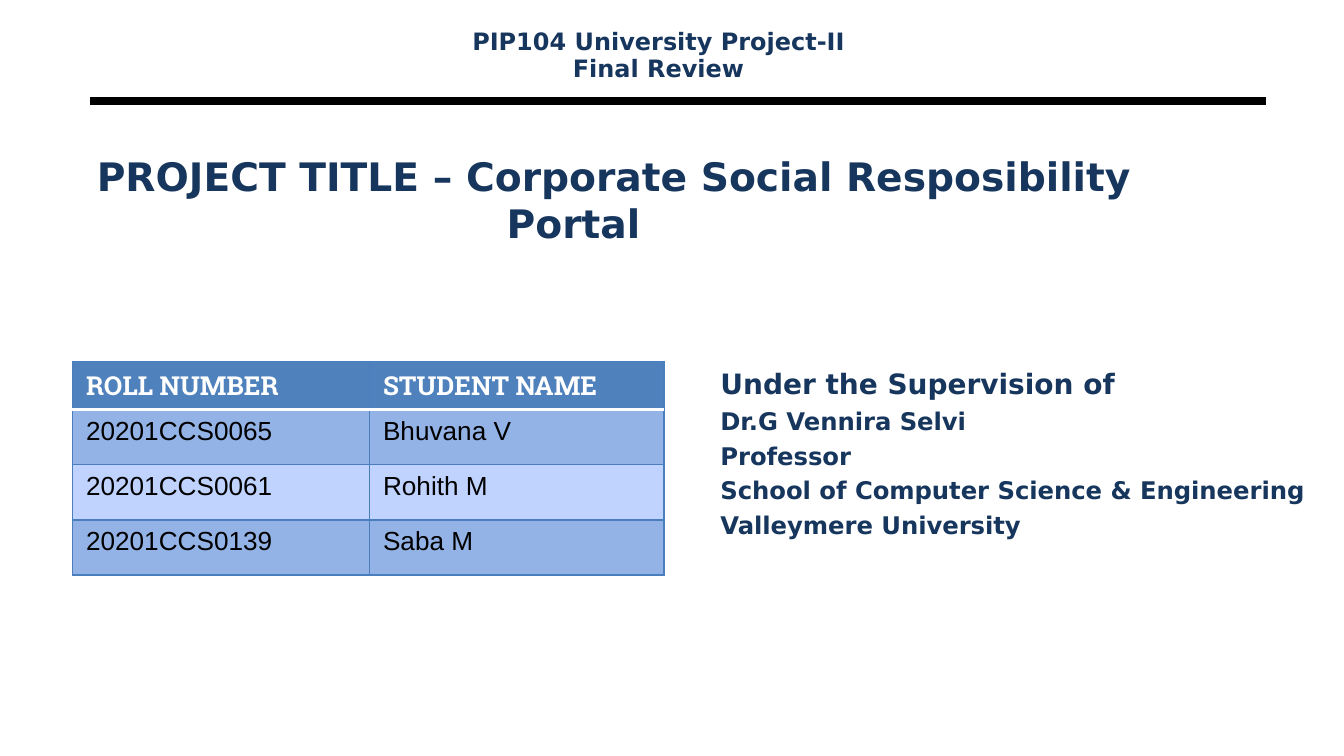
import pptx
import pptx.dml.color
import pptx.enum.shapes
import pptx.enum.text
import pptx.oxml.ns
import pptx.util
from lxml import etree

Inches = pptx.util.Inches
Pt = pptx.util.Pt
qn = pptx.oxml.ns.qn
ALIGN = pptx.enum.text.PP_ALIGN
ANCHOR = pptx.enum.text.MSO_ANCHOR


def color(hex_string):
    return pptx.dml.color.RGBColor.from_string(hex_string)


class ReviewSlide:
    NAVY = "17365D"
    FONT = "DejaVu Sans"
    HEADER, BAND, PLAIN = "4F81BD", "93B2E5", "C0D3FF"
    BORDER = "4B7EBC"

    def __init__(self, slide):
        self.slide = slide

    def font(self, paragraph, size, hex_string=NAVY, name=FONT, bold=True):
        font = paragraph.font
        font.size, font.name, font.bold = Pt(size), name, bold
        font.color.rgb = color(hex_string)

    def fill_frame(self, frame, lines, align=ALIGN.LEFT, spacing=None, gap=0):
        """Write (text, size) lines, one paragraph each."""
        frame.word_wrap = True
        frame.auto_size = pptx.enum.text.MSO_AUTO_SIZE.NONE
        frame.margin_left = frame.margin_right = Inches(0.07)
        frame.margin_top = frame.margin_bottom = Inches(0.04)
        for i, (text, size) in enumerate(lines):
            paragraph = frame.add_paragraph() if i else frame.paragraphs[0]
            paragraph.text = text
            paragraph.alignment = align
            paragraph.space_before = Pt(gap if i else 0)
            if spacing:
                paragraph.line_spacing = spacing
            self.font(paragraph, size)

    def title(self, box, text, size, hanging):
        title = self.slide.shapes.title
        title.left, title.top, title.width, title.height = map(Inches, box)
        self.fill_frame(title.text_frame, [(text, size)])
        title.text_frame.vertical_anchor = ANCHOR.MIDDLE
        # The hanging indent places the wrapped word under the middle
        properties = title.text_frame.paragraphs[0]._p.get_or_add_pPr()
        properties.set("marL", str(Inches(hanging)))
        properties.set("indent", str(-Inches(hanging)))

    def text(self, box, lines, **style):
        shape = self.slide.shapes.add_textbox(*map(Inches, box))
        self.fill_frame(shape.text_frame, lines, **style)

    def rule(self, left, right, y, width):
        rule = self.slide.shapes.add_connector(
            pptx.enum.shapes.MSO_CONNECTOR.STRAIGHT,
            Inches(left), Inches(y), Inches(right), Inches(y))
        rule.line.color.rgb = color("000000")
        rule.line.width = Pt(width)
        etree.SubElement(rule._element.spPr, qn("a:effectLst"))

    def border(self, cell, side, hex_string, width):
        line = etree.SubElement(cell._tc.get_or_add_tcPr(), qn("a:ln" + side),
                                w=str(Pt(width)))
        solid = etree.SubElement(line, qn("a:solidFill"))
        etree.SubElement(solid, qn("a:srgbClr"), val=hex_string)

    def table(self, box, widths, heights, rows):
        table = self.slide.shapes.add_table(
            len(rows), len(widths), *map(Inches, box)).table
        for column, width in zip(table.columns, widths):
            column.width = Inches(width)
        for r, (row, height) in enumerate(zip(rows, heights)):
            table.rows[r].height = Inches(height)
            for c, text in enumerate(row):
                cell = table.cell(r, c)
                cell.text = text
                paragraph = cell.text_frame.paragraphs[0]
                if r == 0:
                    self.font(paragraph, 14, "FFFFFF", "Roboto Slab")
                else:
                    self.font(paragraph, 14, "000000", "Arial", False)
                # A white line parts the header from the body
                for side in "LRTB":
                    if (r, side) in ((0, "B"), (1, "T")):
                        self.border(cell, side, "FFFFFF", 2)
                    else:
                        self.border(cell, side, self.BORDER, 0.75)
                # Borders come before the fill in the cell properties
                cell.fill.solid()
                band = self.BAND if r % 2 else self.PLAIN
                cell.fill.fore_color.rgb = color(band if r else self.HEADER)


def main():
    presentation = pptx.Presentation()
    # Widescreen, 16 to 9
    presentation.slide_width = Inches(10)
    presentation.slide_height = Inches(10) * 9 // 16
    review = ReviewSlide(
        presentation.slides.add_slide(presentation.slide_layouts[5]))

    # Course heading and rule
    review.rule(0.67, 9.42, 0.75, 4.5)
    review.text((3.27, 0.2, 3.26, 0.45),
                [("PIP104 University Project-II", 12.8), ("Final Review", 12.8)],
                align=ALIGN.CENTER, spacing=0.8, gap=2)

    # Project title
    review.title((0.65, 0.88, 8.5, 1.21),
                 "PROJECT TITLE – Corporate Social Resposibility Portal",
                 21, hanging=3.05)

    # Supervisor
    review.text((5.29, 2.69, 4.52, 2),
                [("Under the Supervision of", 15),
                 ("Dr.G Vennira Selvi", 13),
                 ("Professor", 13),
                 ("School of Computer Science & Engineering", 13),
                 ("Valleymere University", 13)], gap=3)

    # Students
    review.table((0.54, 2.69, 4.4, 1.55), (2.21, 2.19), (0.3, 0.41, 0.41, 0.41),
                 [("ROLL NUMBER", "STUDENT NAME"),
                  ("20201CCS0065", "Bhuvana V"),
                  ("20201CCS0061", "Rohith M"),
                  ("20201CCS0139", "Saba M")])

    presentation.save("out.pptx")


if __name__ == "__main__":
    main()
